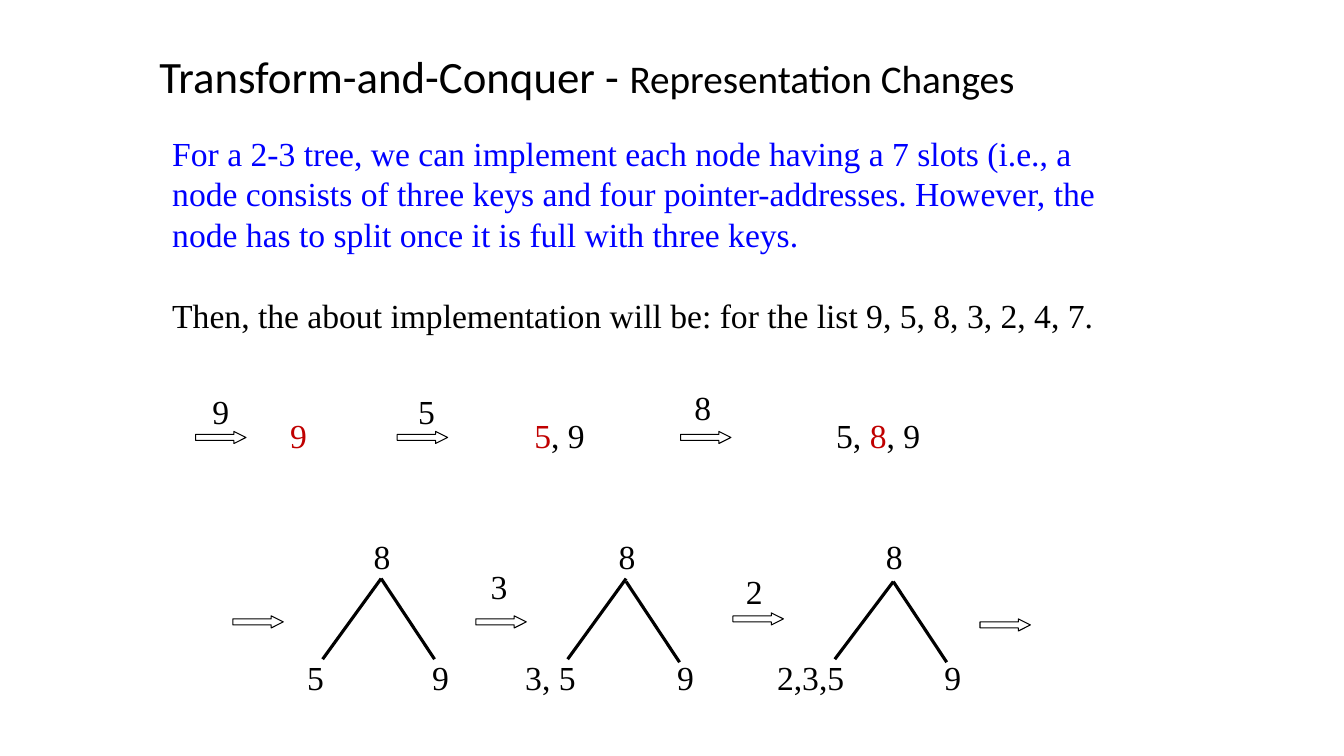
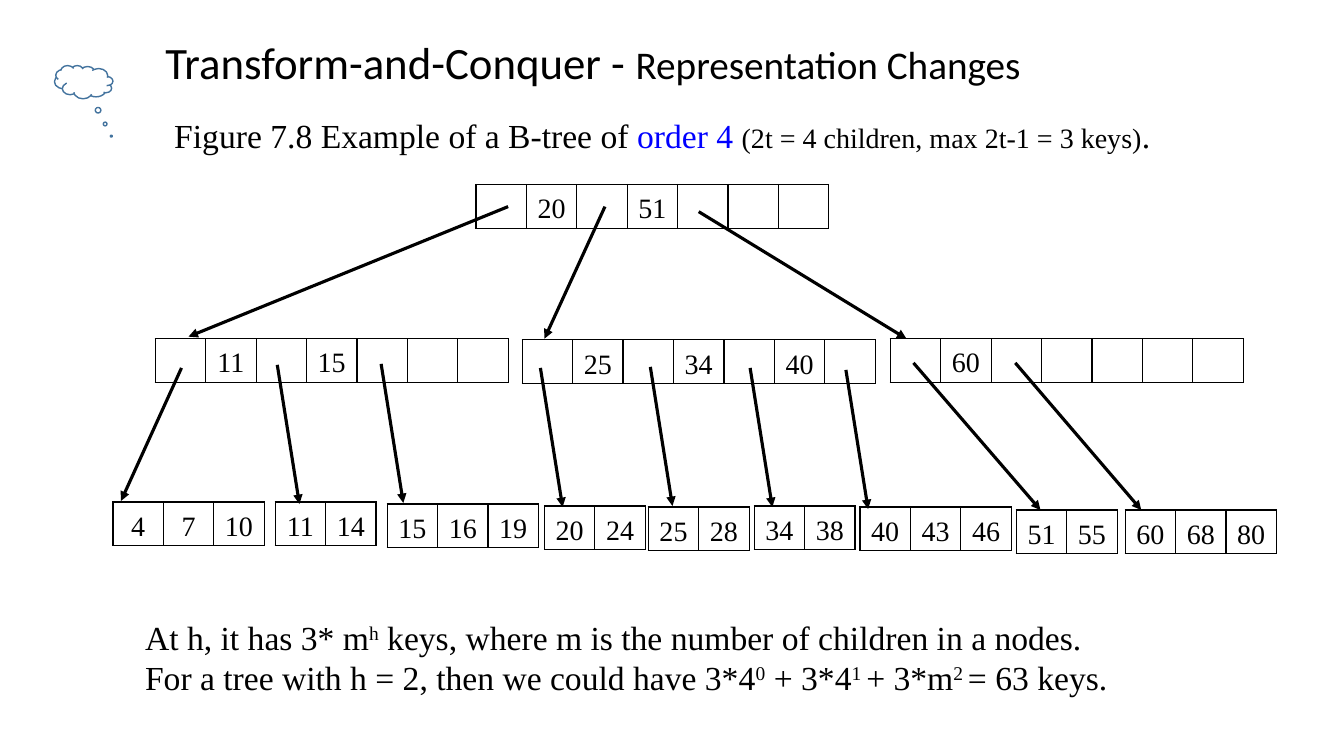
from dataclasses import dataclass

from lxml.etree import SubElement
from pptx import Presentation
from pptx.dml.color import RGBColor
from pptx.enum.shapes import MSO_CONNECTOR, MSO_SHAPE
from pptx.enum.text import MSO_ANCHOR, PP_ALIGN
from pptx.oxml.ns import qn
from pptx.util import Inches, Pt


@dataclass(frozen=True)
class Theme:
    black = RGBColor(0, 0, 0)
    white = RGBColor(0xFF, 0xFF, 0xFF)
    blue = RGBColor(0, 0, 0xFF)
    red = RGBColor(0xC0, 0, 0)
    cloud = RGBColor(0x43, 0x73, 0x9E)
    heading = "Calibri"
    serif = "Times New Roman"
    title = Pt(32)
    subtitle = Pt(28)
    body = Pt(24)
    small = Pt(20)
    stroke = Pt(2.25)


T = Theme()


def add_text(s, x, y, w, h, paragraphs, align=PP_ALIGN.LEFT):
    """Each paragraph is a list of (text, font settings); "sup" raises a run."""
    tf = s.shapes.add_textbox(Inches(x), Inches(y), Inches(w), Inches(h)).text_frame
    tf.word_wrap = True
    for i, runs in enumerate(paragraphs):
        p = tf.add_paragraph() if i else tf.paragraphs[0]
        p.alignment = align
        p.font.name, p.font.size, p.font.color.rgb = T.serif, T.body, T.black
        for text, look in runs:
            r = p.add_run()
            r.text = text
            if "color" in look:
                r.font.color.rgb = look["color"]
            if "size" in look:
                r.font.size = look["size"]
            if "sup" in look:
                r._r.get_or_add_rPr().set("baseline", "30000")
    return tf


def add_line(s, x1, y1, x2, y2, arrow=False):
    line = s.shapes.add_connector(
        MSO_CONNECTOR.STRAIGHT, Inches(x1), Inches(y1), Inches(x2), Inches(y2))
    line.line.color.rgb, line.line.width = T.black, T.stroke
    if arrow:
        SubElement(line.line._get_or_add_ln(), qn("a:tailEnd"), type="triangle")
    SubElement(line.element.spPr, qn("a:effectLst"))


prs = Presentation()
prs.slide_width, prs.slide_height = Inches(13.33), Inches(7.5)

# Both slides carry the same two-size title
slides = []
for x, y in [(1.48, 0.43), (1.54, 0.29)]:
    s = prs.slides.add_slide(prs.slide_layouts[5])
    title = s.shapes.title
    title.left, title.top = Inches(x), Inches(y)
    title.width, title.height = Inches(8.98), Inches(0.64)
    title.text_frame.vertical_anchor = MSO_ANCHOR.MIDDLE
    p = title.text_frame.paragraphs[0]
    p.alignment = PP_ALIGN.LEFT
    p.font.name, p.font.color.rgb = T.heading, T.black
    for text, size in [("Transform-and-Conquer - ", T.title),
                       ("Representation Changes", T.subtitle)]:
        r = p.add_run()
        r.text, r.font.size = text, size
    slides.append(s)
growth, btree = slides

# Slide 1: growing a 2-3 tree
tf = add_text(growth, 1.61, 1.27, 9.49, 2.2, [
    [("For a 2-3 tree, we can implement each node having a 7 slots (i.e., a node "
      "consists of three keys and four pointer-addresses. However, the node has to "
      "split once it is full with three keys.", {"color": T.blue})],
    [("Then, the about implementation will be: for the list 9, 5, 8, 3, 2, 4, 7.", {})],
])
tf.paragraphs[1].space_before = Pt(29)

# Block arrows: left, top
for x, y in [(1.94, 4.28), (3.94, 4.28), (6.75, 4.28),
             (2.31, 6.11), (4.72, 6.11), (7.27, 6.08), (9.72, 6.14)]:
    sp = growth.shapes.add_shape(
        MSO_SHAPE.RIGHT_ARROW, Inches(x), Inches(y), Inches(0.5), Inches(0.12))
    sp.adjustments[0], sp.adjustments[1] = 0.5, 1
    sp.shadow.inherit = False
    sp.fill.solid()
    sp.fill.fore_color.rgb = T.white
    sp.line.color.rgb, sp.line.width = T.black, Pt(0.75)

# Centred labels: middle, top, runs
new = {"color": T.red}
labels = [
    (2.19, 3.83, [("9", {})]), (4.23, 3.83, [("5", {})]), (6.97, 3.79, [("8", {})]),
    (4.95, 5.57, [("3", {})]), (7.48, 5.61, [("2", {})]),
    (2.96, 4.07, [("9", new)]),
    (5.55, 4.07, [("5", new), (", 9", {})]),
    (8.71, 4.07, [("5, ", {}), ("8", new), (", 9", {})]),
]
# Trees: root middle, top of each branch, left child and its offset
for x, left_top, right_top, left_key, offset in [
        (3.78, 5.74, 5.74, "5", 0.65),
        (6.21, 5.74, 5.77, "3, 5", 0.75),
        (8.86, 5.77, 5.77, "2,3,5", 0.82)]:
    add_line(growth, x, left_top, x - 0.58, 6.54)
    add_line(growth, x, right_top, x + 0.53, right_top + 0.8)
    labels += [(x + 0.01, 5.27, [("8", {})]),
               (x - offset, 6.47, [(left_key, {})]),
               (x + 0.59, 6.47, [("9", {})])]
for x, y, runs in labels:
    add_text(growth, x - 0.6, y, 1.2, 0.5, [runs], PP_ALIGN.CENTER)

# Slide 2: B-tree of order 4
tf = add_text(btree, 1.63, 0.97, 10.34, 0.57, [[
    ("Figure 7.8 Example of a B-tree of ", {}),
    ("order 4 ", {"color": T.blue}),
    ("(2t = 4 children, max 2t-1 = 3 keys)", {"size": T.small}),
    (".", {}),
]])
tf.paragraphs[0].line_spacing = 1.3

# Inner nodes alternate pointer and key slots; leaves hold keys only
inner = [(4.72, 1.83, [20, 51]), (1.54, 3.36, [11, 15]),
         (5.18, 3.37, [25, 34, 40]), (8.83, 3.36, [60])]
leaves = [(1.12, 4.98, [4, 7, 10]), (2.73, 4.98, [11, 14]), (3.84, 5, [15, 16, 19]),
          (5.4, 5.02, [20, 24]), (6.43, 5.03, [25, 28]), (7.48, 5.02, [34, 38]),
          (8.53, 5.03, [40, 43, 46]), (10.08, 5.06, [51, 55]), (11.16, 5.06, [60, 68, 80])]
nodes = [(x, y, leaf) for x, y, leaf in leaves]
for x, y, keys in inner:
    slots = [""] * 7
    slots[1:2 * len(keys):2] = keys
    nodes.append((x, y, slots))

slot, row = 0.5, 0.43
for x, y, slots in nodes:
    table = btree.shapes.add_table(
        1, len(slots), Inches(x), Inches(y), Inches(slot * len(slots)), Inches(row)).table
    table.first_row = table.horz_banding = False
    for cell, key in zip(table.rows[0].cells, slots):
        cell.margin_left = cell.margin_right = Inches(0.07)
        cell.margin_top = cell.margin_bottom = 0
        p = cell.text_frame.paragraphs[0]
        p.text = str(key)
        p.alignment, p.line_spacing = PP_ALIGN.CENTER, 1.3
        p.font.name, p.font.size, p.font.color.rgb = T.serif, T.small, T.black
        tcPr = cell._tc.get_or_add_tcPr()
        for side in ("a:lnL", "a:lnR", "a:lnT", "a:lnB"):
            ln = SubElement(tcPr, qn(side), w=str(Pt(1)))
            SubElement(SubElement(ln, qn("a:solidFill")), qn("a:srgbClr"), val=str(T.black))
        cell.fill.solid()
        cell.fill.fore_color.rgb = T.white

pointers = [(5.04, 2.05, 1.87, 3.34), (6, 2.05, 5.4, 3.36), (6.93, 2.1, 8.99, 3.36),
            (1.8, 3.65, 1.2, 4.97), (9.06, 3.6, 10.32, 5.06), (10.07, 3.6, 11.32, 5.06)]
pointers += [(x, y, x + 0.22, y + 1.38) for x, y in [
    (2.75, 3.62), (3.78, 3.61), (5.36, 3.65), (6.45, 3.64), (7.44, 3.65), (8.39, 3.67)]]
for ends in pointers:
    add_line(btree, *ends, arrow=True)

sp = btree.shapes.add_shape(
    MSO_SHAPE.CLOUD_CALLOUT, Inches(0.54), Inches(0.65), Inches(0.58), Inches(0.33))
sp.adjustments[0], sp.adjustments[1] = -0.473, 1.625
sp.element.spPr.get_or_add_xfrm().set("flipH", "1")
sp.shadow.inherit = False
sp.fill.solid()
sp.fill.fore_color.rgb = T.white
sp.line.color.rgb, sp.line.width = T.cloud, Pt(1)

sup = {"sup": True}
add_text(btree, 1.34, 6.07, 10.91, 0.91, [
    [("At h, it has 3* m", {}), ("h", sup),
     (" keys, where m is the number of children in a nodes.", {})],
    [("For a tree with h = 2, then we could have 3*4", {}), ("0", sup),
     (" + 3*4", {}), ("1 ", sup), ("+ 3*m", {}), ("2 ", sup), ("= 63 keys.", {})],
])

prs.save("out.pptx")
